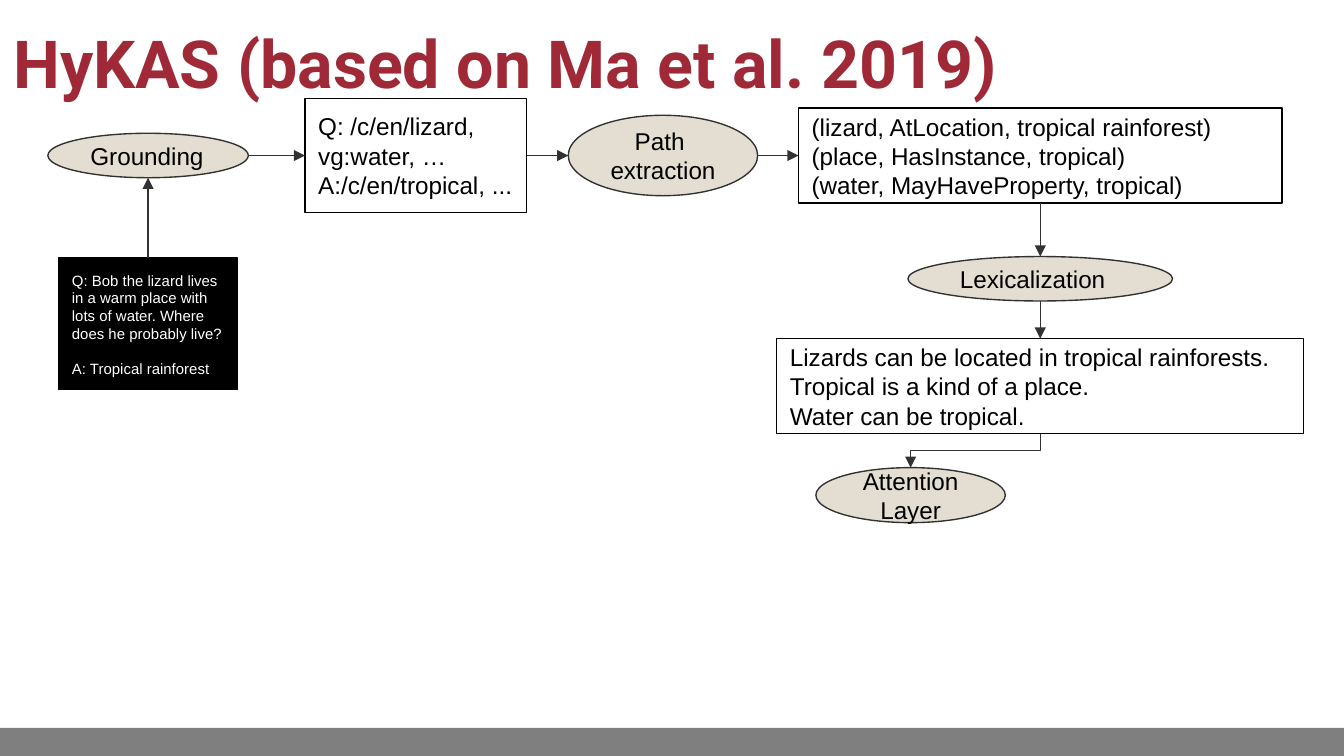
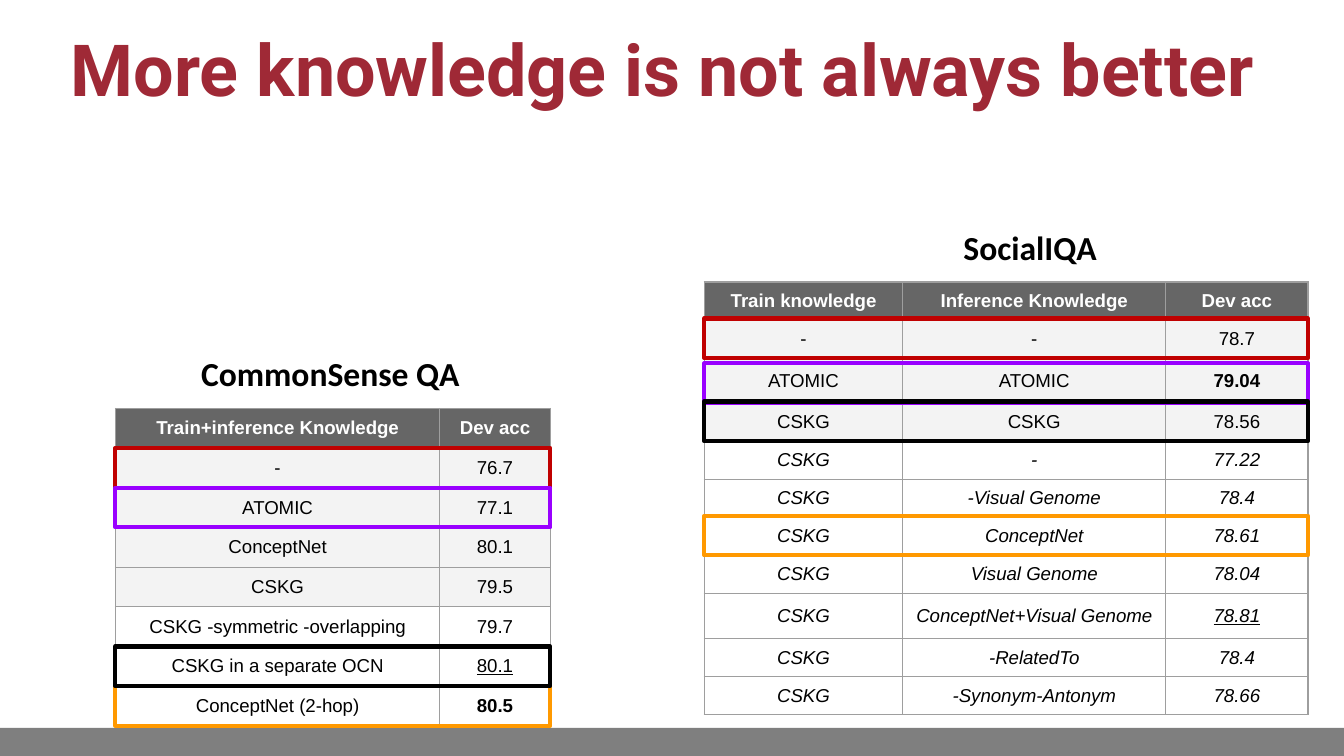
import pptx
import pptx.util
import pptx.dml.color
import pptx.enum.shapes
import pptx.enum.text
import pptx.oxml
import pptx.oxml.ns
from pptx.util import Cm, Pt

SHAPE = pptx.enum.shapes.MSO_SHAPE
CONNECTOR = pptx.enum.shapes.MSO_CONNECTOR
ANCHOR = pptx.enum.text.MSO_ANCHOR
ALIGN = pptx.enum.text.PP_ALIGN

# Shared look
SLIDE_W, SLIDE_H = 25.4, 14.29
BAND_H = 0.53
INK, PAPER, BAND = "000000", "FFFFFF", "7F7F7F"
TITLE_RED, SAND, CHARCOAL = "9F2936", "E3DED1", "323232"
HEADER_GREY, ROW_GREY, GRID_GREY = "666666", "F3F3F3", "9E9E9E"
RED, PURPLE, ORANGE = "C00000", "9900FF", "FF9900"
INSET = 0.25

# Slide 1: nodes as centre x, centre y, width, height, lines
FLOW_TITLE = "HyKAS (based on Ma et al. 2019)"
ROW_Y, LEFT_X, RIGHT_X = 2.94, 2.8, 19.66
STEPS = {
    "grounding": (LEFT_X, ROW_Y, 3.79, 0.84, ["Grounding"], ALIGN.LEFT),
    "paths": (12.53, ROW_Y, 3.58, 1.52, ["Path ", "extraction"], ALIGN.CENTER),
    "lexicalization": (RIGHT_X, 5.27, 5, 0.84, ["Lexicalization"], ALIGN.LEFT),
    "attention": (17.21, 9.36, 3.58, 1.04, ["Attention Layer"], ALIGN.CENTER),
}
DATA = {
    "question": (LEFT_X, 6.12, 3.38, 2.49, [
        "Q: Bob the lizard lives in a warm place with lots of water. "
        "Where does he probably live?", "A: Tropical rainforest"],
        dict(size=8, color=PAPER, anchor=ANCHOR.TOP, gap=9)),
    "concepts": (7.86, ROW_Y, 4.19, 2.16, [
        "Q: /c/en/lizard, vg:water, …", "A:/c/en/tropical, ..."],
        dict(anchor=ANCHOR.TOP)),
    "triples": (RIGHT_X, ROW_Y, 9.14, 1.8, [
        "(lizard, AtLocation, tropical rainforest)",
        "(place, HasInstance, tropical)",
        "(water, MayHaveProperty, tropical)"], {}),
    "sentences": (RIGHT_X, 7.3, 9.96, 1.8, [
        "Lizards can be located in tropical rainforests.",
        "Tropical is a kind of a place.",
        "Water can be tropical."], {}),
}
TOP, LEFT, BOTTOM, RIGHT = range(4)
ARROWS = [
    ("question", TOP, "grounding", BOTTOM),
    ("grounding", RIGHT, "concepts", LEFT),
    ("concepts", RIGHT, "paths", LEFT),
    ("paths", RIGHT, "triples", LEFT),
    ("triples", BOTTOM, "lexicalization", TOP),
    ("lexicalization", BOTTOM, "sentences", TOP),
]

# Slide 2: two result tables with highlighted rows
RESULTS_TITLE = "More knowledge is not always better "
HIGHLIGHT_H = 0.75
RESULTS = [
    dict(caption="CommonSense QA", caption_box=(2.51, 6.35, 7.47, 1.24),
         left=2.18, top=7.72, widths=[6.13, 2.09], heights=[0.75] * 8,
         rows=[("Train+inference Knowledge", "Dev acc"),
               ("-", "76.7"),
               ("ATOMIC", "77.1"),
               ("ConceptNet", "80.1"),
               ("CSKG", "79.5"),
               ("CSKG -symmetric -overlapping", "79.7"),
               ("CSKG in a separate OCN", "80.1"),
               ("ConceptNet (2-hop)", "80.5")],
         shaded=4, italic_rest=False, best=7, second=6,
         highlights=[(1, RED), (7, ORANGE), (2, PURPLE), (6, INK)]),
    dict(caption="SocialIQA", caption_box=(15.95, 3.96, 7.04, 1.24),
         left=13.31, top=5.33, widths=[3.75, 4.97, 2.69],
         heights=[0.72, 0.72, 0.85] + [0.72] * 5 + [0.85] + [0.72] * 2,
         rows=[("Train knowledge", "Inference Knowledge", "Dev acc"),
               ("-", "-", "78.7"),
               ("ATOMIC", "ATOMIC", "79.04"),
               ("CSKG", "CSKG", "78.56"),
               ("CSKG", "-", "77.22"),
               ("CSKG", "-Visual Genome", "78.4"),
               ("CSKG", "ConceptNet", "78.61"),
               ("CSKG", "Visual Genome", "78.04"),
               ("CSKG", "ConceptNet+Visual Genome", "78.81"),
               ("CSKG", "-RelatedTo", "78.4"),
               ("CSKG", "-Synonym-Antonym", "78.66")],
         shaded=3, italic_rest=True, best=2, second=8,
         highlights=[(1, RED), (2, PURPLE), (6, ORANGE), (3, INK)]),
]


def rgb(value):
    return pptx.dml.color.RGBColor.from_string(value)


def xml(markup):
    return pptx.oxml.parse_xml(markup.replace(
        " ", f" {pptx.oxml.ns.nsdecls('a')} ", 1))


def write(frame, lines, size=13, color=INK, font="Arial", align=ALIGN.LEFT,
          gap=0, spacing=None, **styles):
    for index, line in enumerate(lines):
        paragraph = frame.paragraphs[0] if index == 0 else frame.add_paragraph()
        paragraph.alignment = align
        if index and gap:
            paragraph.space_before = Pt(gap)
        if spacing:
            paragraph.line_spacing = spacing
        run = paragraph.add_run()
        run.text = line
        run.font.color.rgb = rgb(color)
        for name, value in dict(name=font, size=Pt(size), **styles).items():
            setattr(run.font, name, value)


def set_frame(frame, anchor=ANCHOR.MIDDLE, side=INSET, end=INSET):
    formats = dict(word_wrap=True, vertical_anchor=anchor, margin_left=Cm(side),
                   margin_right=Cm(side), margin_top=Cm(end), margin_bottom=Cm(end))
    for name, value in formats.items():
        setattr(frame, name, value)


def add_box(slide, kind, box, fill=None, line=None, width=0.75):
    shape = slide.shapes.add_shape(kind, *map(Cm, box))
    shape.shadow.inherit = False
    if fill:
        shape.fill.solid()
        shape.fill.fore_color.rgb = rgb(fill)
    else:
        shape.fill.background()
    if line:
        shape.line.color.rgb = rgb(line)
        shape.line.width = Pt(width)
    else:
        shape.line.fill.background()
    return shape


def add_text(slide, box, lines, anchor=ANCHOR.TOP, end=INSET, **styles):
    frame = slide.shapes.add_textbox(*map(Cm, box)).text_frame
    set_frame(frame, anchor, end=end)
    write(frame, lines, **styles)


def start_slide(deck, title, height, size, align):
    slide = deck.slides.add_slide(deck.slide_layouts[6])
    add_box(slide, SHAPE.RECTANGLE, (0, SLIDE_H - BAND_H, SLIDE_W, BAND_H), BAND)
    add_text(slide, (0, 0, SLIDE_W, height), [title], ANCHOR.MIDDLE, 0.13,
             size=size, color=TITLE_RED, font="Roboto", align=align, bold=True)
    return slide


# Flow diagram
def side_point(node, side):
    x, y, width, height = node[:4]
    dx, dy = ((0, -1), (-1, 0), (0, 1), (1, 0))[side]
    return x + dx * width / 2, y + dy * height / 2


def add_node(slide, kind, node, fill, line, anchor=ANCHOR.MIDDLE, **styles):
    x, y, width, height, lines = node[:5]
    shape = add_box(slide, kind, (x - width / 2, y - height / 2, width, height),
                    fill, line)
    set_frame(shape.text_frame, anchor)
    write(shape.text_frame, lines, **styles)
    return shape


def add_arrow(slide, kind, start, finish):
    arrow = slide.shapes.add_connector(kind, *map(Cm, start + finish))
    arrow.line.color.rgb = rgb(CHARCOAL)
    arrow.line.width = Pt(0.75)
    arrow.line._get_or_add_ln().append(xml('<a:tailEnd type="triangle"/>'))
    arrow._element.spPr.append(xml("<a:effectLst />"))
    return arrow


def add_drop_arrow(slide, start, finish):
    """Elbow that runs down, left and down again: a quarter-turned connector."""
    drop, shift = finish[1] - start[1], start[0] - finish[0]
    left = (start[0] + finish[0] - drop) / 2
    top = (start[1] + finish[1] - shift) / 2
    arrow = add_arrow(slide, CONNECTOR.ELBOW, (left, top), (left + drop, top + shift))
    arrow._element.spPr.xfrm.set("rot", str(90 * 60000))


def build_flow(deck):
    slide = start_slide(deck, FLOW_TITLE, 2.36, 35.5, ALIGN.LEFT)
    nodes = {**STEPS, **DATA}
    for node in STEPS.values():
        add_node(slide, SHAPE.OVAL, node, SAND, CHARCOAL, align=node[5])
    boxes = {}
    for name, node in DATA.items():
        fill = INK if name == "question" else None
        boxes[name] = add_node(slide, SHAPE.RECTANGLE, node, fill, INK, **node[5])
    for source, out_side, target, in_side in ARROWS:
        arrow = add_arrow(slide, CONNECTOR.STRAIGHT,
                          side_point(nodes[source], out_side),
                          side_point(nodes[target], in_side))
        if source in boxes:
            arrow.begin_connect(boxes[source], out_side)
        if target in boxes:
            arrow.end_connect(boxes[target], in_side)
    add_drop_arrow(slide, side_point(nodes["sentences"], BOTTOM),
                   side_point(nodes["attention"], TOP))


# Result tables
def format_cell(cell, text, fill, **styles):
    cell.vertical_anchor = ANCHOR.MIDDLE
    for edge in ("left", "right", "top", "bottom"):
        setattr(cell, f"margin_{edge}", Cm(INSET if edge in ("left", "right") else 0))
    if fill:
        cell.fill.solid()
        cell.fill.fore_color.rgb = rgb(fill)
    else:
        cell.fill.background()
    for index, edge in enumerate("LRTB"):
        cell._tc.get_or_add_tcPr().insert(index, xml(
            f'<a:ln{edge} w="{Pt(0.75)}"><a:solidFill><a:srgbClr val="{GRID_GREY}"/>'
            f'</a:solidFill></a:ln{edge}>'))
    write(cell.text_frame, [text], size=10, align=ALIGN.CENTER, **styles)


def add_results(slide, result):
    rows, widths, heights = result["rows"], result["widths"], result["heights"]
    left, top = result["left"], result["top"]
    table = slide.shapes.add_table(
        len(rows), len(widths),
        *map(Cm, (left, top, sum(widths), sum(heights)))).table
    table.first_row = table.horz_banding = False
    for column, width in zip(table.columns, widths):
        column.width = Cm(width)
    for r, values in enumerate(rows):
        table.rows[r].height = Cm(heights[r])
        plain = r > result["shaded"]
        fill = HEADER_GREY if r == 0 else None if plain else ROW_GREY
        for c, text in enumerate(values):
            score = c == len(values) - 1
            format_cell(table.cell(r, c), text, fill,
                        color=PAPER if r == 0 else INK,
                        bold=r == 0 or (score and r == result["best"]),
                        italic=plain and result["italic_rest"],
                        underline=score and r == result["second"])
    add_text(slide, result["caption_box"], [result["caption"]], size=18,
             font="Calibri", align=ALIGN.CENTER, spacing=1.1, bold=True)
    for r, color in result["highlights"]:
        row_bottom = top + sum(heights[:r + 1])
        add_box(slide, SHAPE.RECTANGLE,
                (left, row_bottom - HIGHLIGHT_H, sum(widths), HIGHLIGHT_H),
                line=color, width=2.25)


def build_results(deck):
    slide = start_slide(deck, RESULTS_TITLE, 2.57, 38.5, ALIGN.CENTER)
    for result in RESULTS:
        add_results(slide, result)


def main():
    deck = pptx.Presentation()
    deck.slide_width, deck.slide_height = Cm(SLIDE_W), Cm(SLIDE_H)
    build_flow(deck)
    build_results(deck)
    deck.save("out.pptx")


if __name__ == "__main__":
    main()
